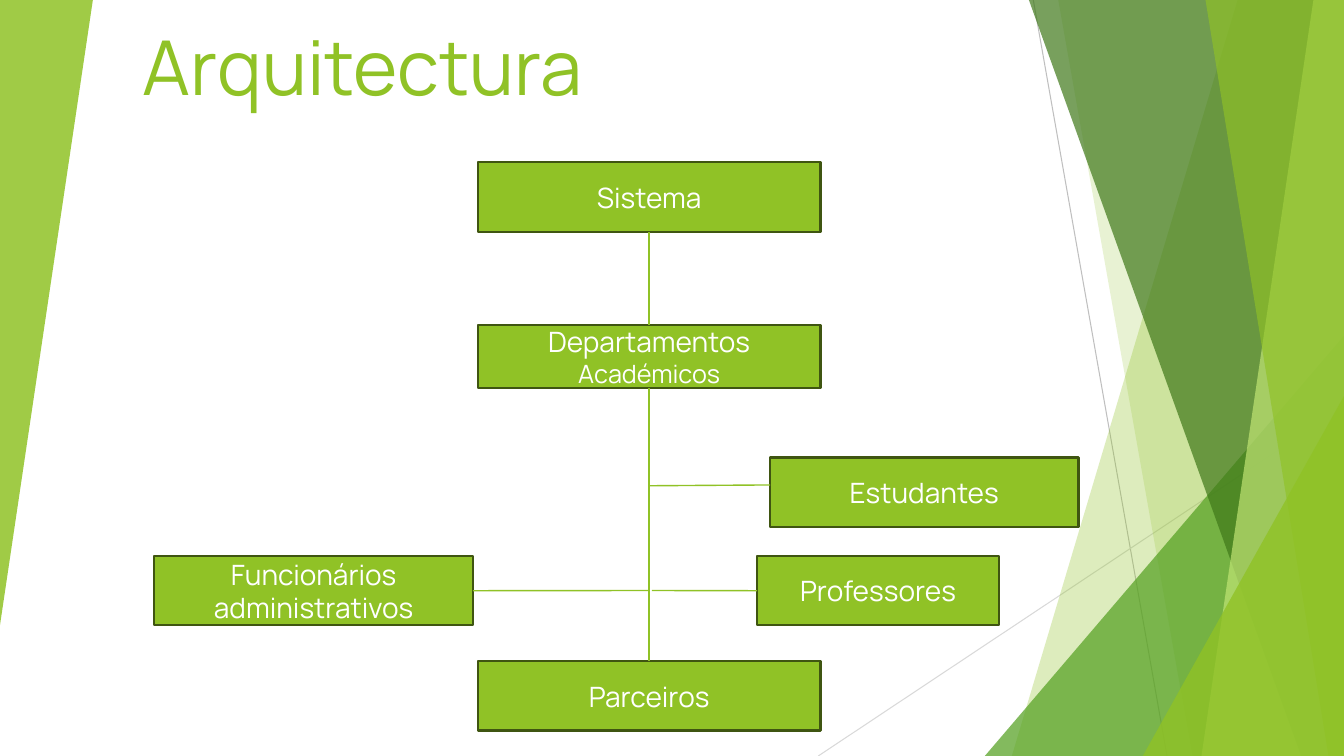
import pptx
import pptx.util
import pptx.dml.color
import pptx.enum.shapes
import pptx.enum.text
import pptx.oxml.ns
import pptx.oxml.xmlchemy
from pptx.util import Cm

GREEN = "90C226"
WIDTH, HEIGHT = 33.87, 19.05
TRUNK = 16.36
BRANCH = 12.24


def paint(fill, color, opacity=100):
    fill.solid()
    fill.fore_color.rgb = pptx.dml.color.RGBColor.from_string(color)
    if opacity < 100:
        color_element = fill._xPr.find(".//" + pptx.oxml.ns.qn("a:srgbClr"))
        alpha = pptx.oxml.xmlchemy.OxmlElement("a:alpha")
        alpha.set("val", str(opacity * 1000))
        color_element.append(alpha)


def add_line(start, end, color, weight):
    points = [Cm(value) for value in (*start, *end)]
    connector = slide.shapes.add_connector(
        pptx.enum.shapes.MSO_CONNECTOR.STRAIGHT, *points)
    paint(connector.line.fill, color)
    connector.line.width = pptx.util.Pt(weight)
    connector._element.spPr.append(pptx.oxml.xmlchemy.OxmlElement("a:effectLst"))
    return connector


presentation = pptx.Presentation()
presentation.slide_width = Cm(WIDTH)
presentation.slide_height = Cm(HEIGHT)
slide = presentation.slides.add_slide(presentation.slide_layouts[0])
subtitle = slide.placeholders[1]
subtitle._element.getparent().remove(subtitle._element)

# Thin background lines
add_line((26.04, 0), (29.41, HEIGHT), "BFBFBF", 0.75)
add_line((WIDTH, 10.24), (20.62, HEIGHT), "D9D9D9", 0.75)

# Translucent facets: (top x, bottom x) reach the right edge,
# (left, top, width, height, rotation) are triangles
facets = [
    ((31.19, 25.5), GREEN, 30),
    ((26.67, 30.05), GREEN, 20),
    ((24.82, 8.46, 9.05, 10.59, 0), "54A021", 72),
    ((25.93, 32.79), "3F7819", 70),
    ((33.1, 30.28), "C0E474", 70),
    ((30.38, 33.48), GREEN, 65),
    ((28.8, 9.98, 5.07, 9.07, 0), GREEN, 80),
    ((0, 0, 2.34, 15.75, 180), GREEN, 85),
]
for geometry, color, opacity in facets:
    if len(geometry) == 2:
        top_x, bottom_x = geometry
        builder = slide.shapes.build_freeform(Cm(top_x), 0)
        corners = [(WIDTH, 0), (WIDTH, HEIGHT), (bottom_x, HEIGHT)]
        builder.add_line_segments([(Cm(x), Cm(y)) for x, y in corners], close=True)
        shape = builder.convert_to_shape()
    else:
        *frame, rotation = geometry
        shape = slide.shapes.add_shape(
            pptx.enum.shapes.MSO_SHAPE.ISOSCELES_TRIANGLE,
            *[Cm(value) for value in frame])
        shape.adjustments[0] = 1
        shape.rotation = rotation
    shape.shadow.inherit = False
    shape.line.fill.background()
    paint(shape.fill, color, opacity)

# Title
title = slide.shapes.title
title.left, title.top, title.width, title.height = Cm(2.24), Cm(0.05), Cm(12.7), Cm(2.87)
title.text_frame.auto_size = pptx.enum.text.MSO_AUTO_SIZE.NONE
title.text_frame.vertical_anchor = pptx.enum.text.MSO_ANCHOR.BOTTOM
paragraph = title.text_frame.paragraphs[0]
paragraph.alignment = pptx.enum.text.PP_ALIGN.RIGHT
run = paragraph.add_run()
run.text = "Arquitectura"
run.font.name = "Manrope"
run.font.size = pptx.util.Pt(54)
paint(run.font.fill, GREEN)

# Boxes: frame, then runs of text with their sizes
boxes = [
    ((12.04, 4.09, 8.64, 1.75), [("Sistema", 20)]),
    ((19.41, 11.53, 7.77, 1.75), [("Estudantes", 20)]),
    ((19.08, 14.02, 6.1, 1.73), [("Professores", 20)]),
    ((3.89, 14.02, 8.03, 1.73), [("Funcionários administrativos", 20)]),
    ((12.04, 8.18, 8.64, 1.6), [("Departamentos", 20), (" Académicos", 18)]),
    ((12.04, 16.66, 8.64, 1.75), [("Parceiros", 20)]),
]
shapes = []
for frame, texts in boxes:
    shape = slide.shapes.add_shape(
        pptx.enum.shapes.MSO_SHAPE.RECTANGLE, *[Cm(value) for value in frame])
    shape.shadow.inherit = False
    paint(shape.fill, GREEN)
    paint(shape.line.fill, "3F5511")
    shape.line.width = pptx.util.Pt(1.5)
    shape.text_frame.word_wrap = True
    shape.text_frame.vertical_anchor = pptx.enum.text.MSO_ANCHOR.MIDDLE
    paragraph = shape.text_frame.paragraphs[0]
    paragraph.alignment = pptx.enum.text.PP_ALIGN.CENTER
    for text, size in texts:
        run = paragraph.add_run()
        run.text = text
        run.font.name = "Manrope"
        run.font.size = pptx.util.Pt(size)
        paint(run.font.fill, "FFFFFF")
    shapes.append(shape)
system, students, teachers, staff, departments, partners = shapes

# Connectors: start, end, joined box and side at each end
links = [
    ((TRUNK, 5.84), (TRUNK, 8.18), (system, 2), (departments, 0)),
    ((TRUNK, 9.78), (TRUNK, BRANCH), (departments, 2), None),
    ((TRUNK, BRANCH), (19.41, 12.22), None, None),
    ((TRUNK, BRANCH), (TRUNK, 16.66), None, (partners, 0)),
    ((11.92, 14.88), (TRUNK, 14.88), (staff, 3), None),
    ((19.08, 14.88), (16.43, 14.88), (teachers, 1), None),
]
for start, end, start_joint, end_joint in links:
    connector = add_line(start, end, GREEN, 1)
    if start_joint:
        connector.begin_connect(*start_joint)
    if end_joint:
        connector.end_connect(*end_joint)

presentation.save("out.pptx")
